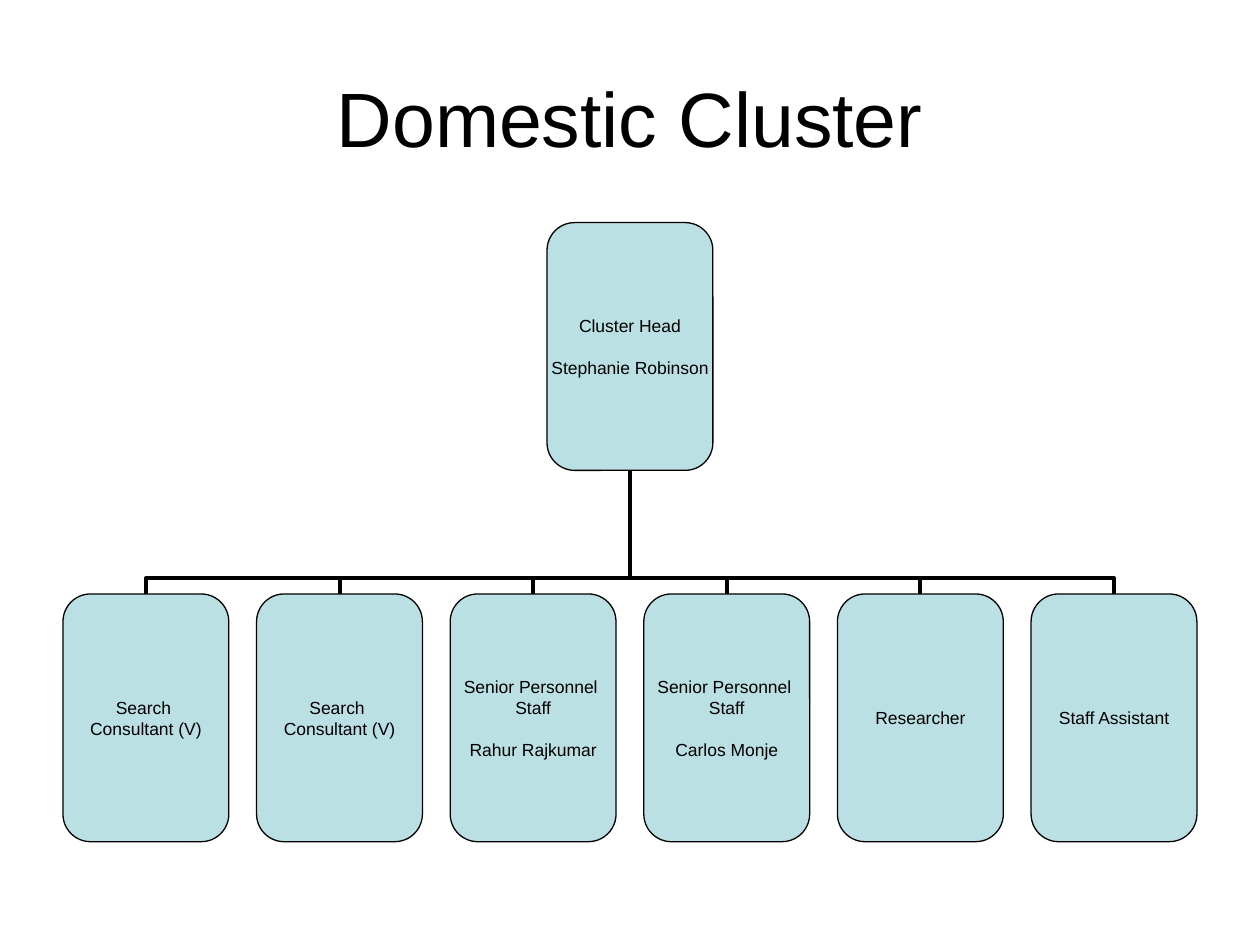
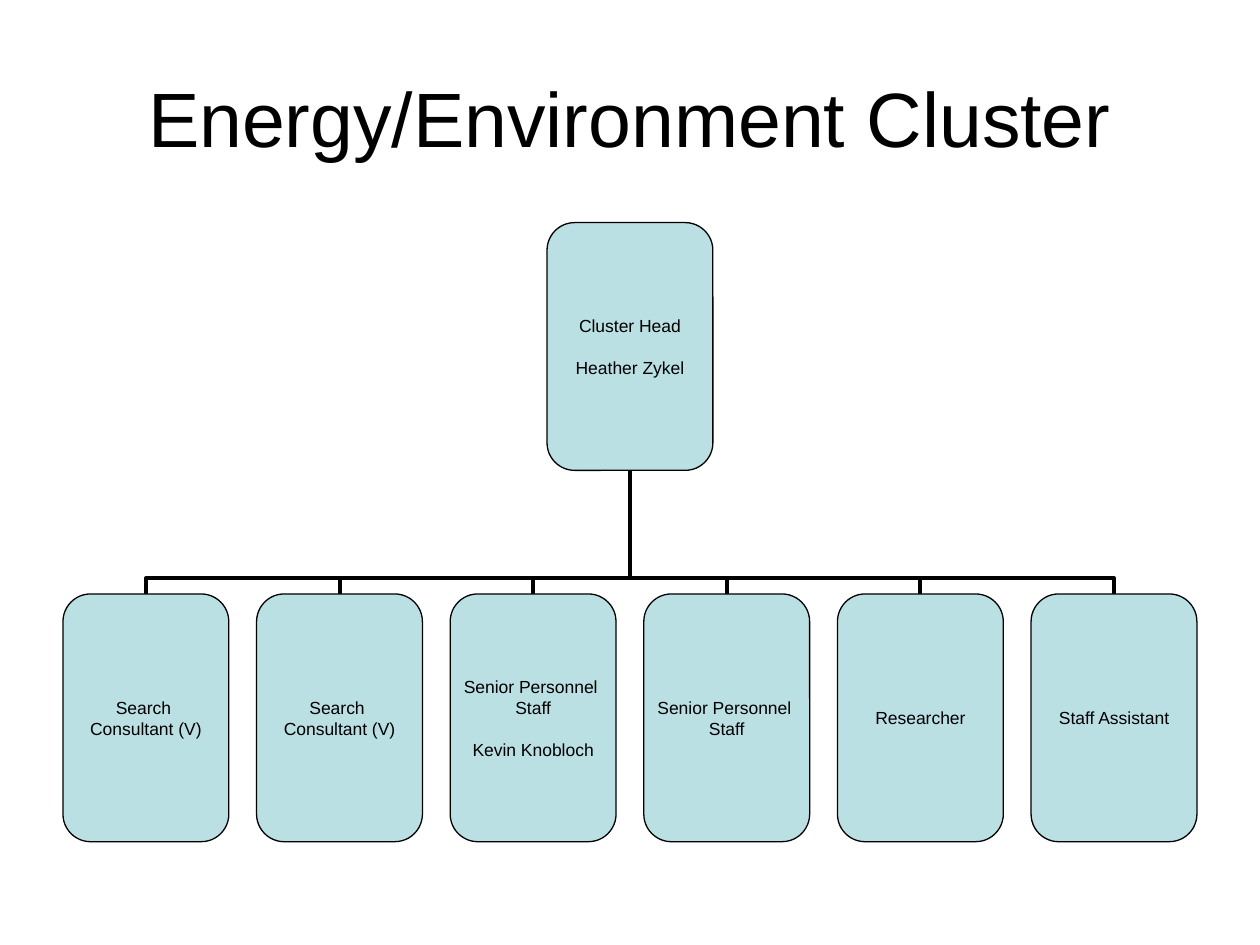
from pptx import Presentation
from pptx.dml.color import RGBColor
from pptx.enum.shapes import MSO_CONNECTOR as Link, MSO_SHAPE as Shape
from pptx.enum.text import MSO_ANCHOR as Anchor, PP_ALIGN as Align
from pptx.oxml.ns import qn
from pptx.util import Pt
from lxml.etree import SubElement

CONSULTANT = ["Search ", "Consultant (V)"]
SENIOR = ["Senior Personnel ", "Staff"]

CLUSTERS = [
    {
        "title": "Domestic Cluster",
        "head": (["Cluster Head"], "Stephanie Robinson"),
        "team": [
            (CONSULTANT, None),
            (CONSULTANT, None),
            (SENIOR, "Rahur Rajkumar"),
            (SENIOR, "Carlos Monje"),
            (["Researcher"], None),
            (["Staff Assistant"], None),
        ],
    },
    {
        "title": "Energy/Environment Cluster",
        "head": (["Cluster Head"], "Heather Zykel"),
        "team": [
            (CONSULTANT, None),
            (CONSULTANT, None),
            (SENIOR, "Kevin Knobloch"),
            (SENIOR, None),
            (["Researcher"], None),
            (["Staff Assistant"], None),
        ],
    },
]

BLACK = RGBColor(0x00, 0x00, 0x00)
PALE_TEAL = RGBColor(0xBB, 0xE0, 0xE3)
FONT = "Arial"

PAGE_WIDTH, PAGE_HEIGHT = 720, 540
MARGIN = 36
CONTENT_WIDTH = PAGE_WIDTH - 2 * MARGIN
CENTRE = PAGE_WIDTH / 2
TITLE_TOP, TITLE_HEIGHT, TITLE_SIZE = 21.6, 90, 44
BOX_WIDTH, BOX_HEIGHT = 94.8, 141.6
HEAD_TOP, TEAM_TOP = 127.2, 339.4
ROLE_SIZE, NAME_GAP = 10, 12
BUS_RISE = 9


def write(para, text, size):
    para.alignment = Align.CENTER
    span = para.add_run()
    span.text = text
    span.font.name = FONT
    span.font.size = Pt(size)
    span.font.color.rgb = BLACK


def add_title(page, text):
    box = page.shapes.add_textbox(
        Pt(MARGIN), Pt(TITLE_TOP), Pt(CONTENT_WIDTH), Pt(TITLE_HEIGHT))
    frame = box.text_frame
    frame.word_wrap = True
    frame.vertical_anchor = Anchor.MIDDLE
    write(frame.paragraphs[0], text, TITLE_SIZE)


def add_position(page, centre, top, role, name):
    box = page.shapes.add_shape(
        Shape.ROUNDED_RECTANGLE, Pt(centre - BOX_WIDTH / 2), Pt(top),
        Pt(BOX_WIDTH), Pt(BOX_HEIGHT))
    box.shadow.inherit = False
    box.fill.solid()
    box.fill.fore_color.rgb = PALE_TEAL
    box.line.color.rgb = BLACK
    box.line.width = Pt(0.75)
    frame = box.text_frame
    frame.margin_left = frame.margin_right = 0
    frame.margin_top = frame.margin_bottom = 0
    frame.word_wrap = False
    frame.vertical_anchor = Anchor.MIDDLE
    for index, line in enumerate(role):
        para = frame.add_paragraph() if index else frame.paragraphs[0]
        write(para, line, ROLE_SIZE)
    if name:
        para = frame.add_paragraph()
        para.space_before = Pt(NAME_GAP)
        write(para, name, ROLE_SIZE)


def add_branch(page, centre):
    head_bottom = HEAD_TOP + BOX_HEIGHT
    drop = TEAM_TOP - head_bottom
    reach = abs(centre - CENTRE)
    side = 1 if centre > CENTRE else -1
    middle_x = (centre + CENTRE) / 2
    middle_y = (TEAM_TOP + head_bottom) / 2
    branch = page.shapes.add_connector(
        Link.ELBOW,
        Pt(middle_x - side * drop / 2), Pt(middle_y + reach / 2),
        Pt(middle_x + side * drop / 2), Pt(middle_y - reach / 2))
    branch.line.color.rgb = BLACK
    branch.line.width = Pt(2.25)
    properties = branch._element.spPr
    quarter_turns = 3 if side > 0 else 1
    properties.find(qn("a:xfrm")).set("rot", str(quarter_turns * 90 * 60000))
    adjustments = properties.find(qn("a:prstGeom")).find(qn("a:avLst"))
    bend = round(BUS_RISE / drop * 100000)
    SubElement(adjustments, qn("a:gd"), name="adj1", fmla=f"val {bend}")
    SubElement(properties, qn("a:effectLst"))


def add_cluster(deck, cluster):
    page = deck.slides.add_slide(deck.slide_layouts[6])
    add_title(page, cluster["title"])
    team = cluster["team"]
    pitch = (CONTENT_WIDTH - BOX_WIDTH) / (len(team) - 1)
    centres = [MARGIN + BOX_WIDTH / 2 + index * pitch for index in range(len(team))]
    for centre in reversed(centres):
        add_branch(page, centre)
    add_position(page, CENTRE, HEAD_TOP, *cluster["head"])
    for centre, member in zip(centres, team):
        add_position(page, centre, TEAM_TOP, *member)


def main():
    deck = Presentation()
    deck.slide_width = Pt(PAGE_WIDTH)
    deck.slide_height = Pt(PAGE_HEIGHT)
    for cluster in CLUSTERS:
        add_cluster(deck, cluster)
    deck.save("out.pptx")


if __name__ == "__main__":
    main()
